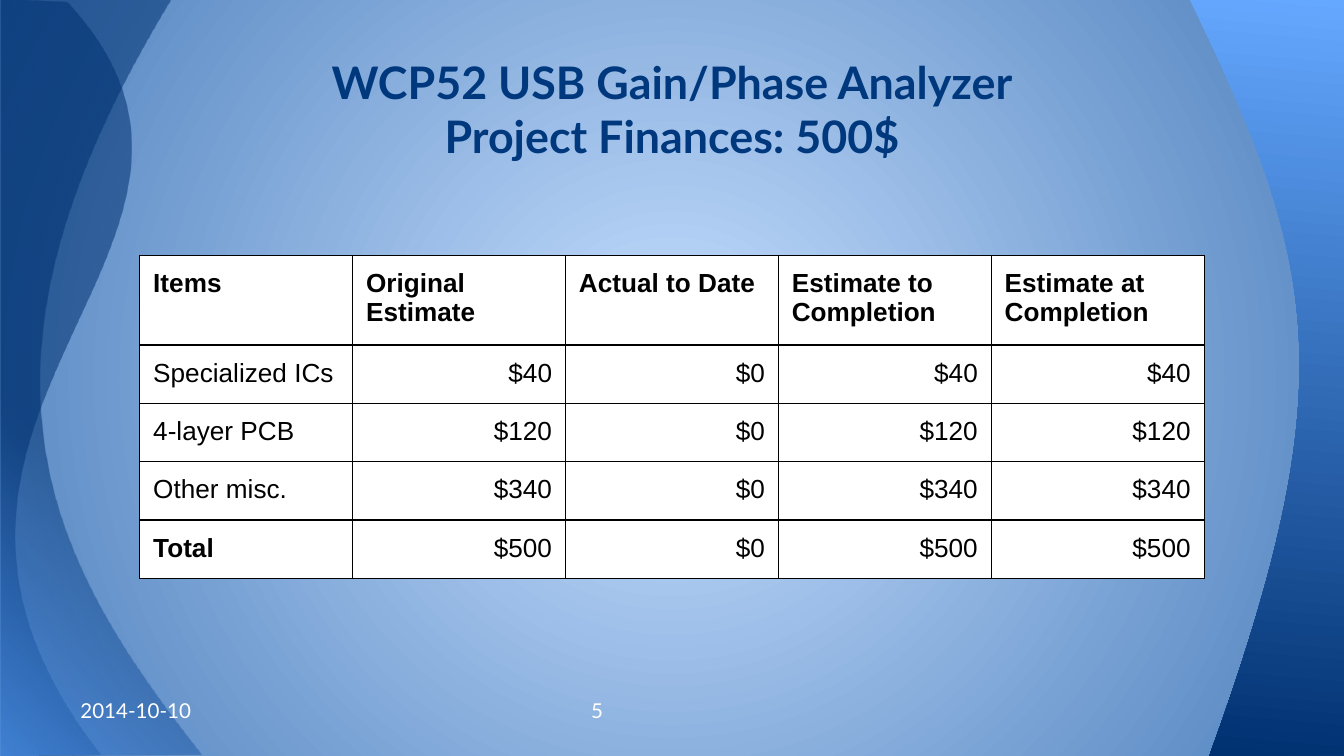
from lxml.etree import SubElement
from pptx import Presentation
from pptx.dml.color import RGBColor
from pptx.enum.text import MSO_ANCHOR as Anchor, PP_ALIGN as Align
from pptx.oxml import parse_xml
from pptx.oxml.ns import nsdecls, qn
from pptx.util import Inches, Pt

NAVY, BLACK, WHITE = "00387E", "000000", "FFFFFF"
LEFT, CENTER, RIGHT = Align.LEFT, Align.CENTER, Align.RIGHT
INSETS = ("margin_left", "margin_top", "margin_right", "margin_bottom")

ROWS = [
    ["Items", "Original Estimate", "Actual to Date",
     "Estimate to Completion", "Estimate at Completion"],
    ["Specialized ICs", "$40", "$0", "$40", "$40"],
    ["4-layer PCB", "$120", "$0", "$120", "$120"],
    ["Other misc.", "$340", "$0", "$340", "$340"],
    ["Total", "$500", "$0", "$500", "$500"],
]

# Outlines: a point is a line's end, a triple of points is a Bezier curve
INNER_WAVE = [(1.5, 5.61), (-0.01, 5.62), ((-0.01, 3.74), (0, 1.86), (0, -0.02)),
              (1.27, 0), ((-0.38, 2.72), (0.33, 4.13), (1.5, 5.61))]
OUTER_WAVE = [(0.75, 5.61), (0.01, 5.62), ((0.01, 3.75), (0.01, 1.88), (0.01, 0)),
              (0.5, 0.02), ((2.17, 1.82), (-1.22, 3.08), (0.75, 5.61))]
RIGHT_WAVE = [(10.05, 5.62), (9, 5.62), ((10.01, 2.84), (9.81, 1.96), (8.85, -0.01)),
              (10.05, -0.01), (10.05, 5.62)]


def rgb(color):
    return RGBColor.from_string(color)


def circle(left, top, right, bottom):
    return (f'<a:path path="circle"><a:fillToRect l="{left}000" t="{top}000" '
            f'r="{right}000" b="{bottom}000"/></a:path>')


def set_gradient(fill, root, stops, shade, alpha=100):
    """Replace the solid fill under root by a gradient."""
    fill.solid()
    solid = root.xpath(".//a:solidFill")[0]
    gs = "".join(
        f'<a:gs pos="{pos}000"><a:srgbClr val="{color}">'
        f'<a:alpha val="{alpha}000"/></a:srgbClr></a:gs>' for pos, color in stops)
    grad = parse_xml(f'<a:gradFill {nsdecls("a")} rotWithShape="1">'
                     f'<a:gsLst>{gs}</a:gsLst>{shade}</a:gradFill>')
    solid.getparent().replace(solid, grad)


def add_wave(slide, outline, stops, shade, alpha=100):
    points = []
    for step in outline:
        points += step if isinstance(step[0], tuple) else [step]
    points = [(Inches(x), Inches(y)) for x, y in points]
    builder = slide.shapes.build_freeform(*points[0], scale=1.0)
    builder.add_line_segments(points[1:], close=True)
    sp = builder.convert_to_shape()

    # Join the three lines of each curve into one Bezier segment
    lines = iter(sp._element.xpath(".//a:lnTo"))
    for step in outline[1:]:
        first = next(lines)
        if isinstance(step[0], tuple):
            first.tag = qn("a:cubicBezTo")
            for _ in range(2):
                line = next(lines)
                first.append(line[0])
                line.getparent().remove(line)

    sp.shadow.inherit = False
    set_gradient(sp.fill, sp._element, stops, shade, alpha)
    sp.line.fill.background()


def write(tf, lines, align, color, **font):
    for name in INSETS:
        setattr(tf, name, Inches(0.1))
    for i, line in enumerate(lines):
        p = tf.paragraphs[0] if i == 0 else tf.add_paragraph()
        p.alignment = align
        r = p.add_run()
        r.text = line
        r.font.color.rgb = rgb(color)
        for name, value in font.items():
            setattr(r.font, name, value)


def add_text(slide, box, lines, align, color, anchor=Anchor.TOP, **font):
    tf = slide.shapes.add_textbox(*map(Inches, box)).text_frame
    tf.word_wrap = True
    tf.vertical_anchor = anchor
    write(tf, lines, align, color, **font)
    return tf


def add_tab(p, position):
    tabs = SubElement(p._p.get_or_add_pPr(), qn("a:tabLst"))
    SubElement(tabs, qn("a:tab"), pos=str(Inches(position)), algn="l")


def set_borders(cell, color, width):
    for side in "LRTB":
        cell._tc.get_or_add_tcPr().append(parse_xml(
            f'<a:ln{side} {nsdecls("a")} w="{Pt(width)}"><a:solidFill>'
            f'<a:srgbClr val="{color}"/></a:solidFill></a:ln{side}>'))


def add_finances(slide, left, top, width, heights):
    cols = len(ROWS[0])
    frame = slide.shapes.add_table(len(ROWS), cols, *map(
        Inches, (left, top, width, sum(heights))))
    table = frame.table
    table.first_row = table.horz_banding = False
    for i, (row, height) in enumerate(zip(ROWS, heights)):
        table.rows[i].height = Inches(height)
        for j, text in enumerate(row):
            cell = table.cell(i, j)
            set_borders(cell, BLACK, 0.75)
            cell.fill.solid()
            cell.fill.fore_color.rgb = rgb(WHITE)
            # Cells take the same insets and text formats as boxes
            for name in INSETS:
                setattr(cell, name, Inches(0.1))
            p = cell.text_frame.paragraphs[0]
            p.alignment = RIGHT if i and j else LEFT
            r = p.add_run()
            r.text = text
            r.font.color.rgb = rgb(BLACK)
            font = {"name": "Arial", "size": Pt(14),
                    "bold": i == 0 or text == "Total"}
            for name, value in font.items():
                setattr(r.font, name, value)
    # The rows grow with their text beyond this nominal frame
    frame.width = frame.height = Inches(3.28)


def main():
    prs = Presentation()
    prs.slide_width, prs.slide_height = Inches(10), Inches(10 * 9 / 16)
    slide = prs.slides.add_slide(prs.slide_layouts[6])

    # Background and waves
    set_gradient(slide.background.fill, slide._element,
                 [(0, "C6DFFF"), (100, "4F81BD")], circle(50, 50, 50, 50))
    for outline in (INNER_WAVE, OUTER_WAVE):
        add_wave(slide, outline, [(0, "549FFF"), (41, "003171"), (100, "003171")],
                 circle(0, 100, 100, 0), alpha=54)
    add_wave(slide, RIGHT_WAVE, [(0, "65A8FF"), (100, "003171")],
             f'<a:lin ang="{95 * 60000}" scaled="0"/>')

    # Date and slide number
    tf = add_text(slide, (0.5, 5.1, 9, 0.38), ["2014-10-10\t5"], LEFT, WHITE,
                  name="Lato", size=Pt(11))
    add_tab(tf.paragraphs[0], 3.8)

    # Title
    add_text(slide, (0.5, 0.22, 9, 1.09),
             ["WCP52 USB Gain/Phase Analyzer", "Project Finances: 500$"],
             CENTER, NAVY, Anchor.BOTTOM, name="Lato", size=Pt(24), bold=True)

    # Finances
    add_finances(slide, 1.04, 1.9, 7.92, [0.36] + [0.42] * 4)

    prs.save("out.pptx")


if __name__ == "__main__":
    main()
